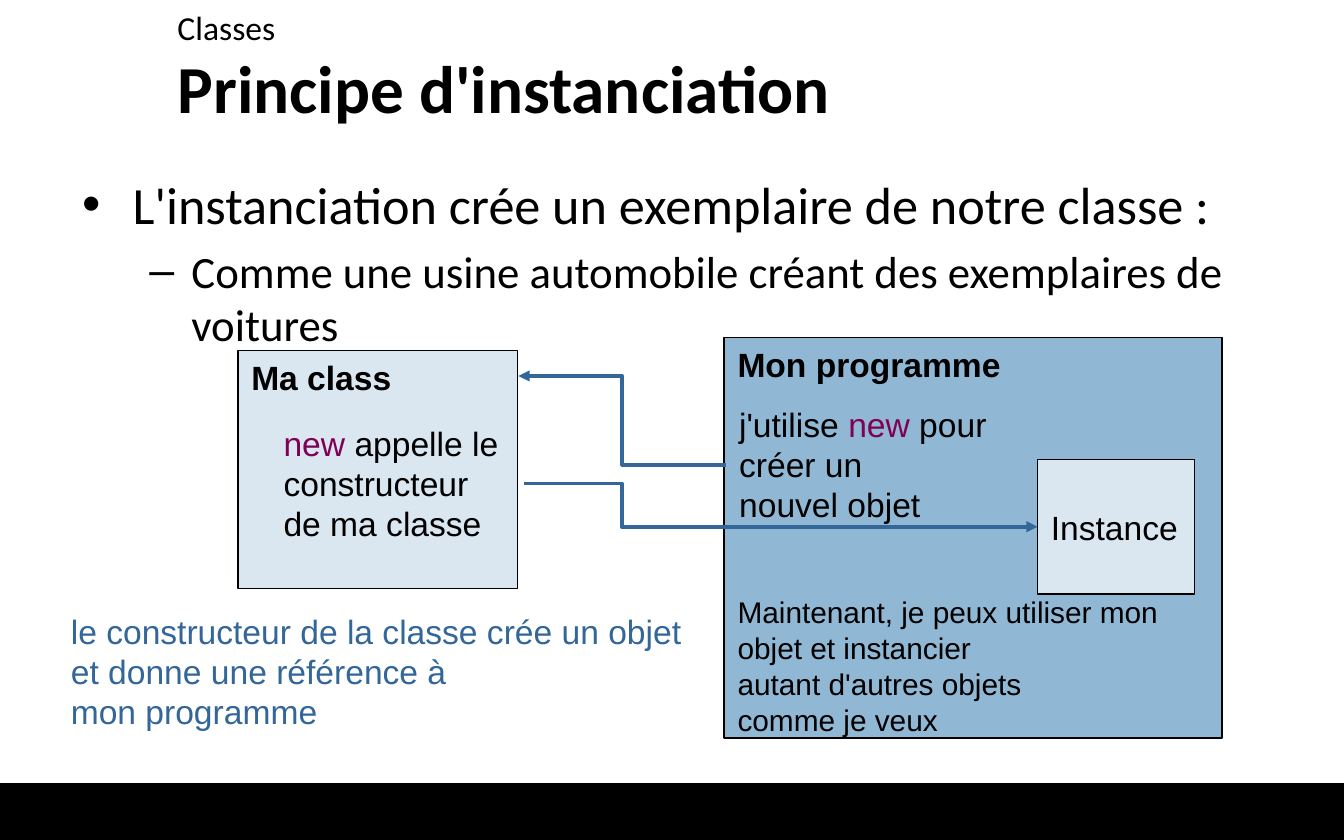
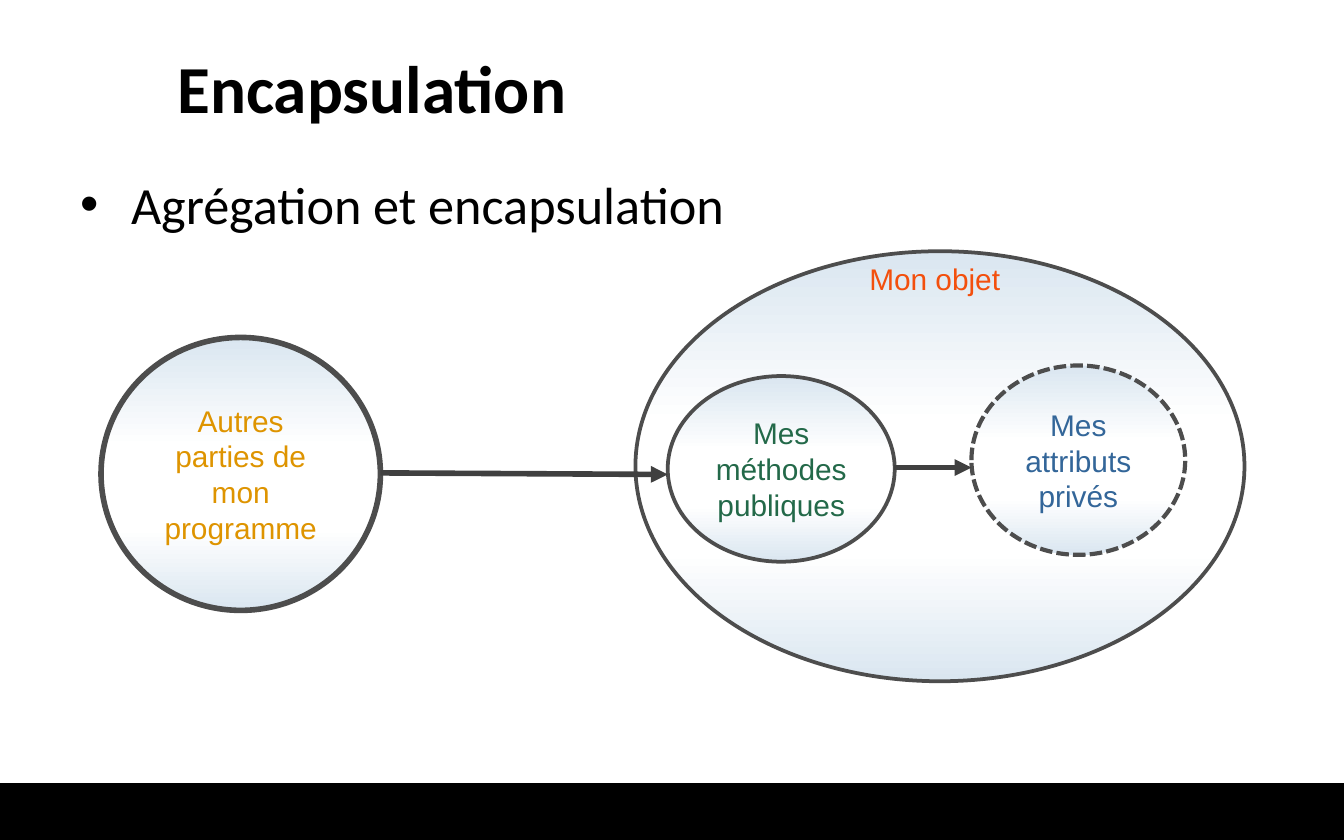
"""Build two slides on class instantiation and encapsulation."""
from dataclasses import dataclass

from lxml import etree
from pptx import Presentation
from pptx import util as u
from pptx.dml.color import RGBColor
from pptx.enum import dml, shapes, text
from pptx.oxml.ns import qn


@dataclass(frozen=True)
class Theme:
    """Colours, fonts and type sizes."""
    black: str = "000000"
    program: str = "90B8D4"
    pale: str = "DAE6F0"
    white: str = "FFFFFF"
    blue: str = "336699"
    keyword: str = "7F0055"
    green: str = "236949"
    orange: str = "F34F0D"
    amber: str = "DE9400"
    outline: str = "4D4D4D"
    arrow: str = "404040"
    heading_font: str = "Calibri"
    label_font: str = "Arial"
    title: int = 36
    kicker: int = 18
    bullets: tuple = (28, 24)
    label: int = 18
    small: int = 16


THEME = Theme()
TOP, MIDDLE = text.MSO_ANCHOR.TOP, text.MSO_ANCHOR.MIDDLE
LEFT, CENTER = text.PP_ALIGN.LEFT, text.PP_ALIGN.CENTER


class Deck:
    """Holds the theme and the current slide, and draws each kind of element."""

    def __init__(self, theme):
        self.theme = theme
        self.presentation = Presentation()
        self.presentation.slide_width = u.Cm(25.4)
        self.presentation.slide_height = u.Cm(15.88)
        self.slide = None

    def add_slide(self, title, bullets, body_box, kicker=None):
        """Start a slide with its band, title, bullets and optional kicker."""
        theme = self.theme
        layout = self.presentation.slide_layouts[3 if kicker else 1]
        self.slide = self.presentation.slides.add_slide(layout)
        self.shape((0, 14.81, 25.4, 1.14), fill=theme.black, line=theme.black)
        frame = self.placeholder(0, (3.1, 0.94, 21.59, 1.4), MIDDLE)
        frame.paragraphs[0].alignment = LEFT
        self.run(frame.paragraphs[0], title, theme.title, theme.black, theme.heading_font, True)
        frame = self.placeholder(1, body_box)
        for level, bullet in enumerate(bullets):
            paragraph = frame.add_paragraph() if level else frame.paragraphs[0]
            paragraph.level = level
            self.run(paragraph, bullet, theme.bullets[level], theme.black, theme.heading_font)
        if kicker:
            paragraph = self.placeholder(2, (3.1, 0, 21.62, 0.94)).paragraphs[0]
            properties = paragraph._p.get_or_add_pPr()
            properties.set("marL", "0")
            properties.set("indent", "0")
            etree.SubElement(properties, qn("a:buNone"))
            self.run(paragraph, kicker, theme.kicker, theme.black, theme.heading_font)

    def placeholder(self, index, box, anchor=TOP):
        """Move a placeholder and return its text frame."""
        shape = self.slide.placeholders[index]
        shape.left, shape.top, shape.width, shape.height = map(u.Cm, box)
        frame = shape.text_frame
        frame.auto_size = text.MSO_AUTO_SIZE.NONE
        frame.vertical_anchor = anchor
        return frame

    def run(self, paragraph, words, size, color, font, bold=False):
        """Add one formatted run."""
        run = paragraph.add_run()
        run.text = words
        run.font.name, run.font.size, run.font.bold = font, u.Pt(size), bold
        run.font.color.rgb = RGBColor.from_string(color)

    def add_lines(self, shape, lines, size, color, anchor=MIDDLE, align=LEFT, bold=False):
        """Fill a shape with lines, each a string or a list of (words, colour)."""
        frame = shape.text_frame
        frame.word_wrap = True
        frame.vertical_anchor = anchor
        for number, line in enumerate(lines):
            paragraph = frame.add_paragraph() if number else frame.paragraphs[0]
            paragraph.alignment = align
            for words, tint in [(line, color)] if isinstance(line, str) else line:
                self.run(paragraph, words, size, tint, self.theme.label_font, bold)

    def text(self, box, lines, size, color):
        """Add a text box."""
        self.add_lines(self.slide.shapes.add_textbox(*map(u.Cm, box)), lines, size, color)

    def shape(self, box, fill=None, line=None, width=0.75, kind=shapes.MSO_SHAPE.RECTANGLE):
        """Add a flat shape with optional fill and outline."""
        shape = self.slide.shapes.add_shape(kind, *map(u.Cm, box))
        shape.shadow.inherit = False
        for part, color in ((shape.fill, fill), (shape.line.fill, line)):
            if color:
                part.solid()
                part.fore_color.rgb = RGBColor.from_string(color)
            else:
                part.background()
        if line:
            shape.line.width = u.Pt(width)
        return shape

    def ellipse(self, box, width, label=None, color=None, dashed=False):
        """Add a gradient ellipse with an optional centred label."""
        theme = self.theme
        shape = self.shape(box, line=theme.outline, width=width, kind=shapes.MSO_SHAPE.OVAL)
        shape.fill.gradient()
        shape.fill.gradient_angle = 270
        stops = shape.element.spPr.find(".//" + qn("a:gsLst"))
        stops.clear()
        for percent, tint in ((0, theme.pale), (40, theme.white), (70, theme.white), (100, theme.pale)):
            stop = etree.SubElement(stops, qn("a:gs"), pos=str(percent * 1000))
            etree.SubElement(stop, qn("a:srgbClr"), val=tint)
        if dashed:
            shape.line.dash_style = dml.MSO_LINE.SQUARE_DOT
        if label:
            self.add_lines(shape, [label], theme.small, color, align=CENTER)

    def arrow(self, start, end, color, width, kind=shapes.MSO_CONNECTOR.STRAIGHT, bend=None):
        """Add a connector with a triangle at its end."""
        connector = self.slide.shapes.add_connector(kind, *map(u.Cm, start + end))
        connector.line.color.rgb = RGBColor.from_string(color)
        connector.line.width = u.Pt(width)
        properties = connector.element.spPr
        etree.SubElement(properties.find(qn("a:ln")), qn("a:tailEnd"), type="triangle")
        etree.SubElement(properties, qn("a:effectLst"))
        if bend is not None:
            guides = properties.find(".//" + qn("a:avLst"))
            etree.SubElement(guides, qn("a:gd"), name="adj1", fmla=f"val {round(bend * 100000)}")


def instantiation(deck):
    """Draw the exchange between a program and a class."""
    theme = deck.theme
    elbow = shapes.MSO_CONNECTOR.ELBOW
    deck.add_slide(
        "Principe d'instanciation",
        ["L'instanciation crée un exemplaire de notre classe :",
         "Comme une usine automobile créant des exemplaires de voitures"],
        (1.3, 3.12, 23.01, 11.76), kicker="Classes")
    program = deck.shape((13.69, 6.38, 9.4, 7.57), theme.program, theme.black, 1)
    deck.add_lines(program, ["Mon programme"], theme.label, theme.black, TOP, bold=True)
    deck.text((13.72, 7.49, 5.41, 2.57),
              [[("j'utilise ", theme.black), ("new", theme.keyword), (" pour", theme.black)],
               "créer un", "nouvel objet"], theme.label, theme.black)
    class_box = deck.shape((4.5, 6.63, 5.28, 4.5), theme.pale, theme.black)
    deck.add_lines(class_box, ["Ma class"], theme.label, theme.black, TOP, bold=True)
    deck.text((1.09, 11.4, 12.34, 2.57),
              ["le constructeur de la classe crée un objet", "et donne une référence à",
               "mon programme"], theme.label, theme.blue)
    deck.arrow((9.91, 9.14), (19.61, 9.96), theme.blue, 2, elbow, 0.19)
    instance = deck.shape((19.61, 8.69, 2.97, 2.54), theme.pale, theme.black)
    deck.add_lines(instance, ["Instance"], theme.label, theme.black)
    deck.text((13.69, 11.05, 8.71, 3.07),
              ["Maintenant, je peux utiliser mon", "objet et instancier",
               "autant d'autres objets", "comme je veux"], theme.small, theme.black)
    deck.arrow((13.72, 8.79), (9.8, 7.11), theme.blue, 2, elbow, 0.5)
    deck.text((5.11, 7.85, 4.8, 2.57),
              [[("new ", theme.keyword), ("appelle le constructeur de ma classe", theme.black)]],
              theme.label, theme.black)


def encapsulation(deck):
    """Draw an object hiding its attributes behind its methods."""
    theme = deck.theme
    deck.add_slide("Encapsulation", ["Agrégation et encapsulation"], (1.27, 3.12, 23.44, 11.76))
    deck.ellipse((12.01, 4.75, 11.51, 8.13), 2)
    deck.ellipse((18.36, 6.91, 4.04, 3.58), 2.25, "Mes attributs privés", theme.blue, dashed=True)
    deck.ellipse((12.62, 7.11, 4.29, 3.51), 2, "Mes méthodes publiques", theme.green)
    deck.text((16.18, 4.8, 3.18, 0.94), ["Mon objet"], theme.small, theme.orange)
    deck.ellipse((1.91, 6.38, 5.28, 5.16), 3, "Autres parties de mon programme", theme.amber)
    deck.arrow((7.19, 8.94), (12.62, 8.97), theme.arrow, 3)
    deck.arrow((16.89, 8.84), (18.36, 8.84), theme.arrow, 3)


def main():
    """Build and save the slides."""
    deck = Deck(THEME)
    instantiation(deck)
    encapsulation(deck)
    deck.presentation.save("out.pptx")


if __name__ == "__main__":
    main()
